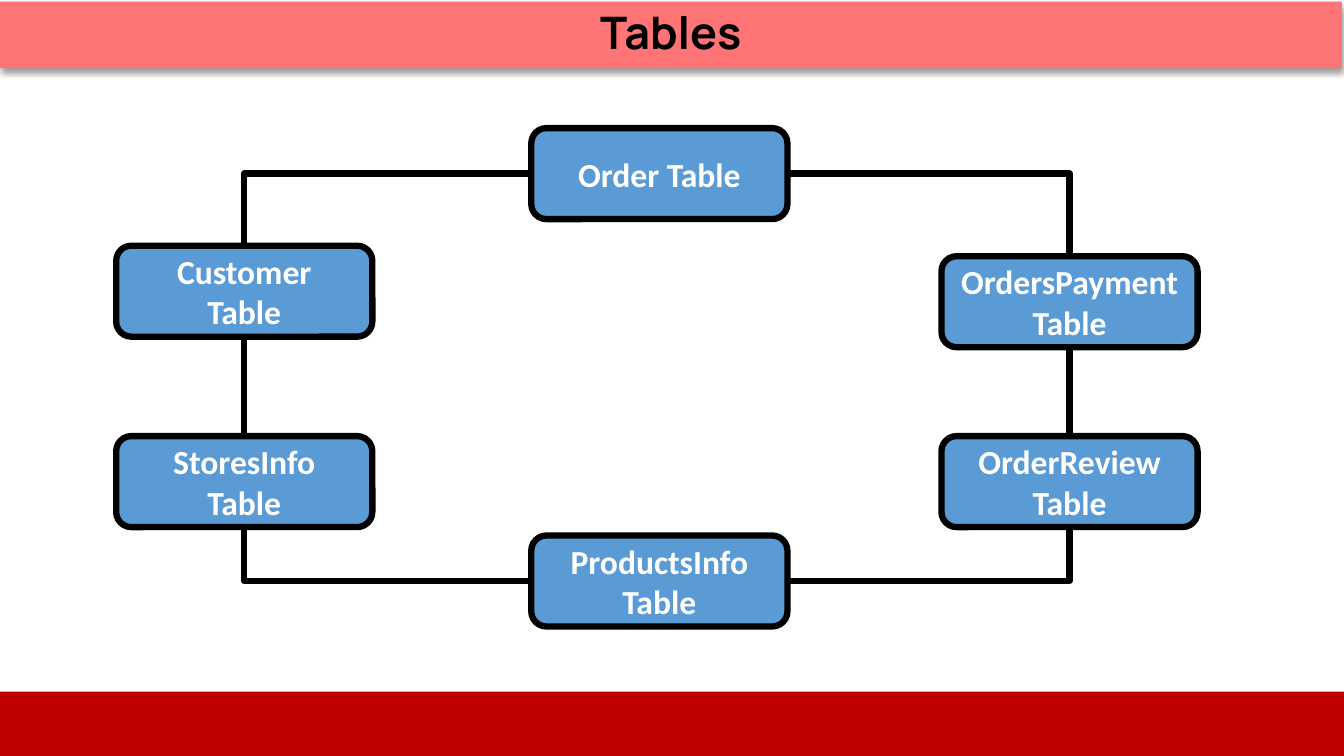
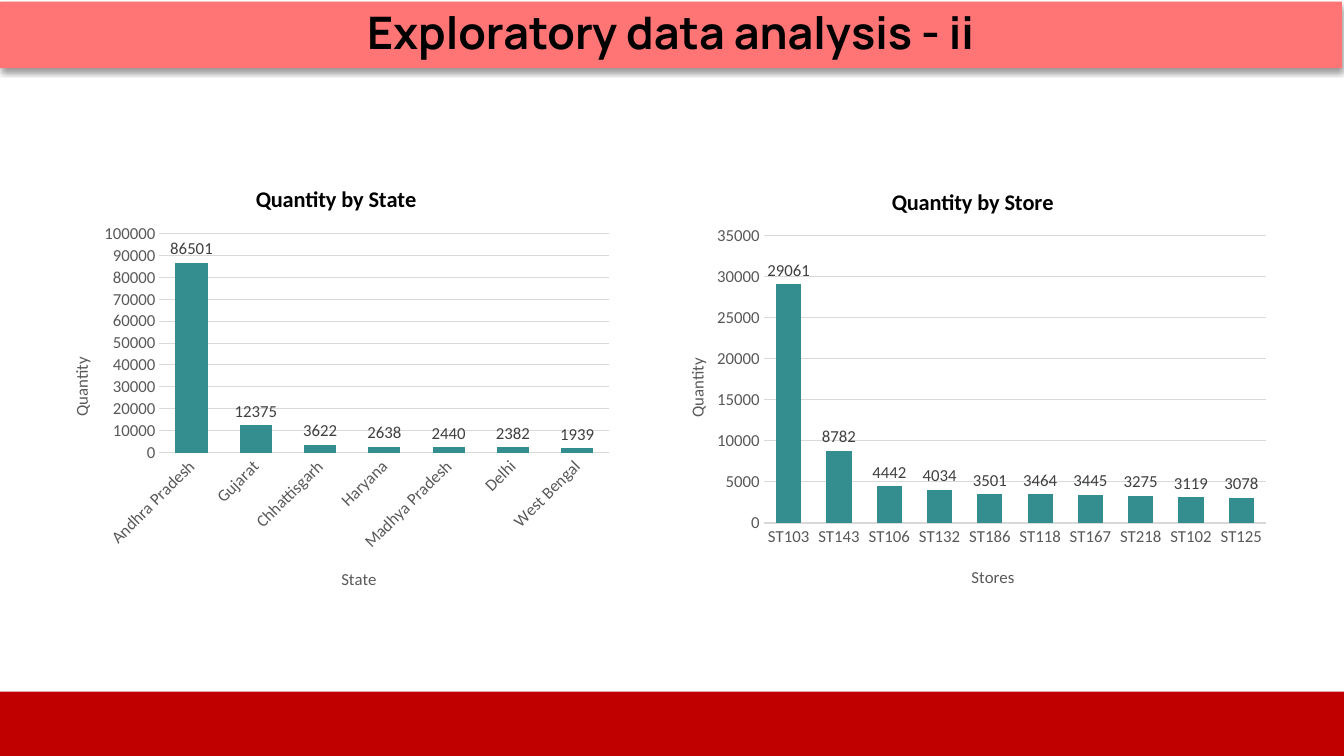
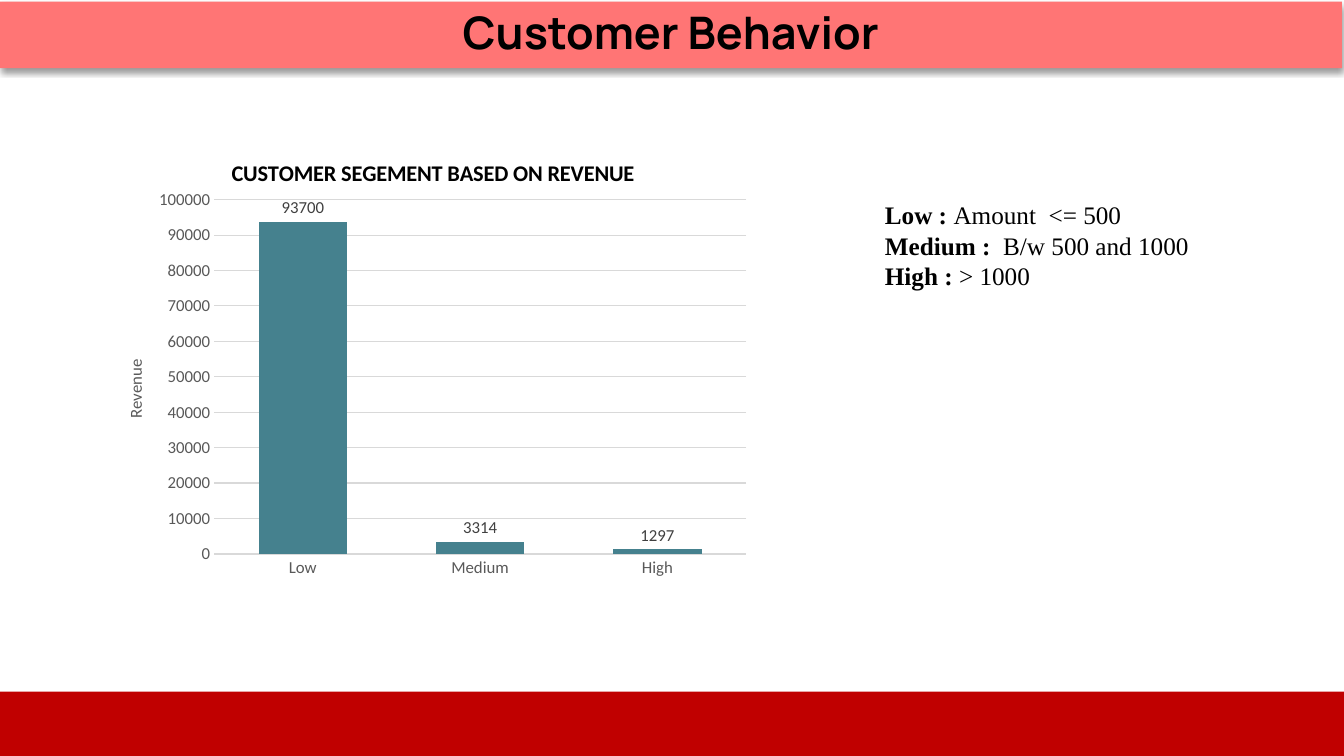
from lxml.etree import SubElement
from pptx import Presentation
from pptx.chart.data import CategoryChartData
from pptx.dml.color import RGBColor
from pptx.enum.chart import XL_CHART_TYPE as ChartType
from pptx.enum.chart import XL_LABEL_POSITION as LabelPosition
from pptx.enum.chart import XL_TICK_MARK as TickMark
from pptx.enum.shapes import MSO_CONNECTOR as Connector
from pptx.enum.shapes import MSO_SHAPE as Shape
from pptx.enum.text import MSO_ANCHOR as Anchor
from pptx.enum.text import PP_ALIGN as Align
from pptx.oxml.ns import qn
from pptx.util import Pt

BLACK = RGBColor(0x00, 0x00, 0x00)
WHITE = RGBColor(0xFF, 0xFF, 0xFF)
CORAL = RGBColor(0xFF, 0x75, 0x75)
RED = RGBColor(0xC0, 0x00, 0x00)
BLUE = RGBColor(0x5B, 0x9B, 0xD5)
TEAL = RGBColor(0x34, 0x8E, 0x90)
SLATE = RGBColor(0x45, 0x81, 0x8E)
AXIS_GRAY = RGBColor(0x59, 0x59, 0x59)
LABEL_GRAY = RGBColor(0x40, 0x40, 0x40)
GRID_GRAY = RGBColor(0xD9, 0xD9, 0xD9)

SLIDE_W, SLIDE_H = 960, 540
TOP, LEFT, BOTTOM, RIGHT = range(4)

TITLE_FONT = {"name": "Manrope", "size": Pt(32), "bold": True, "color": BLACK}
NODE_FONT = {"name": "Calibri", "size": Pt(24), "bold": True, "color": WHITE}
NOTE_FONT = {"name": "Times New Roman", "size": Pt(18), "color": BLACK}
CHART_TITLE_FONT = {"name": "Calibri", "size": Pt(16), "bold": True, "color": BLACK}
AXIS_FONT = {"name": "Calibri", "size": Pt(12), "bold": False, "color": AXIS_GRAY}
LABEL_FONT = {**AXIS_FONT, "color": LABEL_GRAY}


def set_format(target, values):
    for name, value in values.items():
        if name == "color":
            target.color.rgb = value
        else:
            setattr(target, name, value)


def set_line(line, color, width):
    line.color.rgb = color
    line.width = Pt(width)


def add_box(page, kind, at, fill, lines=(), font=None, spacing=None):
    box = page.shapes.add_shape(kind, *map(Pt, at))
    box.shadow.inherit = False
    box.fill.solid()
    box.fill.fore_color.rgb = fill
    box.line.fill.background()
    frame = box.text_frame
    set_format(frame, {"word_wrap": True, "vertical_anchor": Anchor.MIDDLE})
    for index, text in enumerate(lines):
        para = frame.add_paragraph() if index else frame.paragraphs[0]
        set_format(para, {"alignment": Align.CENTER, "line_spacing": spacing})
        span = para.add_run()
        span.text = text
        set_format(span.font, font)
    return box


# Shared title band and footer band
def add_page(deck, title):
    page = deck.slides.add_slide(deck.slide_layouts[6])
    band = add_box(page, Shape.RECTANGLE, (0, 1.2, 958.5, 47.5), CORAL,
                   [title], TITLE_FONT, 0.9)
    effects = band._element.spPr.find(qn("a:effectLst"))
    shadow = SubElement(effects, qn("a:outerShdw"), blurRad=str(Pt(4)),
                        dist=str(Pt(3)), dir="5400000", algn="t", rotWithShape="0")
    color = SubElement(shadow, qn("a:srgbClr"), val=str(BLACK))
    SubElement(color, qn("a:alpha"), val="40000")
    add_box(page, Shape.RECTANGLE, (0, 494, SLIDE_W, SLIDE_H - 494), RED)
    return page


# Ring of linked tables
def add_node(page, left, top, lines):
    node = add_box(page, Shape.ROUNDED_RECTANGLE, (left, top, 183, 65), BLUE,
                   lines, NODE_FONT)
    set_line(node.line, BLACK, 4.5)
    return node


def add_link(page, start, start_side, end, end_side):
    straight = start_side == BOTTOM
    kind = Connector.STRAIGHT if straight else Connector.ELBOW
    link = page.shapes.add_connector(kind, 0, 0, 0, 0)
    link.begin_connect(start, start_side)
    link.end_connect(end, end_side)
    set_line(link.line, BLACK, 4.5)
    properties = link._element.spPr
    if not straight:
        properties.find(qn("a:prstGeom")).set("prst", "bentConnector2")
    SubElement(properties, qn("a:effectLst"))


def add_table_ring(page, left, top):
    middle, right = left + 296.5, left + 589.5
    order = add_node(page, middle, top, ["Order Table"])
    customer = add_node(page, left, top + 84, ["Customer", "Table"])
    payment = add_node(page, right, top + 91.5, ["OrdersPayment", "Table"])
    stores = add_node(page, left, top + 220, ["StoresInfo", "Table"])
    review = add_node(page, right, top + 220, ["OrderReview", "Table"])
    products = add_node(page, middle, top + 291, ["ProductsInfo", "Table"])
    for link in (
        (order, LEFT, customer, TOP),
        (order, RIGHT, payment, TOP),
        (customer, BOTTOM, stores, TOP),
        (payment, BOTTOM, review, TOP),
        (products, LEFT, stores, BOTTOM),
        (products, RIGHT, review, BOTTOM),
    ):
        add_link(page, *link)


# Column charts
def set_layout(parent, index, values):
    """Place a chart part by fractions of the chart: x, y and maybe w, h."""
    for old in parent.findall(qn("c:layout")):
        parent.remove(old)
    layout = parent.makeelement(qn("c:layout"))
    parent.insert(index, layout)
    manual = SubElement(layout, qn("c:manualLayout"))
    if len(values) == 4:
        SubElement(manual, qn("c:layoutTarget"), val="inner")
    for name in ("xMode", "yMode"):
        SubElement(manual, qn("c:" + name), val="edge")
    for name, value in zip("xywh", values):
        SubElement(manual, qn("c:" + name), val=str(value))


def set_title(owner, text, font, corner, rotation=0):
    owner.has_title = True
    title = owner.chart_title if hasattr(owner, "chart_title") else owner.axis_title
    frame = title.text_frame
    frame.text = text
    set_format(frame.paragraphs[0].runs[0].font, font)
    frame._txBody.bodyPr.set("rot", str(rotation * 60000))
    set_layout(title._element, 1, corner)


def add_column_chart(page, at, data, color, plot_at, top_value, step,
                     title, value_title, category_title=None, label_angle=0):
    chart_data = CategoryChartData()
    chart_data.categories = list(data)
    chart_data.add_series("Series 1", list(data.values()))
    chart = page.shapes.add_chart(ChartType.COLUMN_CLUSTERED, *map(Pt, at),
                                  chart_data).chart
    chart.has_legend = False
    set_format(chart.font, {"name": "Calibri", "size": Pt(10), "color": BLACK})
    set_title(chart, title[0], CHART_TITLE_FONT, title[1])
    set_layout(chart._chartSpace.chart.plotArea, 0, plot_at)

    # Columns and their values
    plot = chart.plots[0]
    set_format(plot, {"gap_width": 100, "overlap": -24, "vary_by_categories": False,
                      "has_data_labels": True})
    set_format(plot.data_labels, {"show_value": True,
                                  "position": LabelPosition.OUTSIDE_END})
    set_format(plot.data_labels.font, LABEL_FONT)
    fill = plot.series[0].format.fill
    fill.solid()
    fill.fore_color.rgb = color

    # Axes
    values, categories = chart.value_axis, chart.category_axis
    for axis in (values, categories):
        set_format(axis, {"major_tick_mark": TickMark.NONE,
                          "minor_tick_mark": TickMark.NONE})
        set_format(axis.tick_labels.font, AXIS_FONT)
    set_format(values, {"minimum_scale": 0, "maximum_scale": top_value,
                        "major_unit": step, "has_major_gridlines": True})
    set_line(values.major_gridlines.format.line, GRID_GRAY, 0.75)
    values.format.line.fill.background()
    set_line(categories.format.line, GRID_GRAY, 1)
    set_title(values, value_title[0], AXIS_FONT, value_title[1], -90)
    if category_title:
        set_title(categories, category_title[0], AXIS_FONT, category_title[1])
    if label_angle:
        body = categories._element.find(qn("c:txPr")).find(qn("a:bodyPr"))
        body.set("rot", str(label_angle * 60000))


# Legend text for the revenue segments
def add_segment_notes(page, at, notes):
    box = page.shapes.add_textbox(*map(Pt, at))
    frame = box.text_frame
    frame.word_wrap = True
    for index, note in enumerate(notes):
        para = frame.add_paragraph() if index else frame.paragraphs[0]
        for text, bold in zip(note, (True, False)):
            span = para.add_run()
            span.text = text
            set_format(span.font, {**NOTE_FONT, "bold": bold})


def build_tables(deck):
    page = add_page(deck, "Tables")
    add_table_ring(page, 83, 91.5)


def build_analysis(deck):
    page = add_page(deck, "Exploratory data analysis - ii")
    states = {"Andhra Pradesh": 86501, "Gujarat": 12375, "Chhattisgarh": 3622,
              "Haryana": 2638, "Madhya Pradesh": 2440, "Delhi": 2382,
              "West Bengal": 1939}
    stores = {"ST103": 29061, "ST143": 8782, "ST106": 4442, "ST132": 4034,
              "ST186": 3501, "ST118": 3464, "ST167": 3445, "ST218": 3275,
              "ST102": 3119, "ST125": 3078}
    add_column_chart(page, (31.5, 112.5, 412, 319.5), states, TEAL,
                     (0.2, 0.17, 0.78, 0.49), 100000, 10000,
                     ("Quantity by State", (0.36, 0.05)),
                     ("Quantity", (0.04, 0.44)), ("State", (0.51, 0.91)), -45)
    add_column_chart(page, (470, 114.5, 443.5, 316), stores, TEAL,
                     (0.17, 0.17, 0.81, 0.65), 35000, 5000,
                     ("Quantity by Store", (0.37, 0.05)),
                     ("Quantity", (0.04, 0.44)), ("Stores", (0.5, 0.91)))


def build_behavior(deck):
    page = add_page(deck, "Customer Behavior")
    segments = {"Low": 93700, "Medium": 3314, "High": 1297}
    add_column_chart(page, (67.5, 93.5, 475, 328.5), segments, SLATE,
                     (0.18, 0.15, 0.8, 0.77), 100000, 10000,
                     ("CUSTOMER SEGEMENT BASED ON REVENUE", (0.2, 0.05)),
                     ("Revenue", (0.04, 0.49)))
    add_segment_notes(page, (625, 139, 257, 73), [
        ("Low : ", "Amount  <= 500"),
        ("Medium :", "  B/w 500 and 1000"),
        ("High : ", "> 1000"),
    ])


def main():
    deck = Presentation()
    set_format(deck, {"slide_width": Pt(SLIDE_W), "slide_height": Pt(SLIDE_H)})
    for build in (build_tables, build_analysis, build_behavior):
        build(deck)
    deck.save("out.pptx")


if __name__ == "__main__":
    main()
